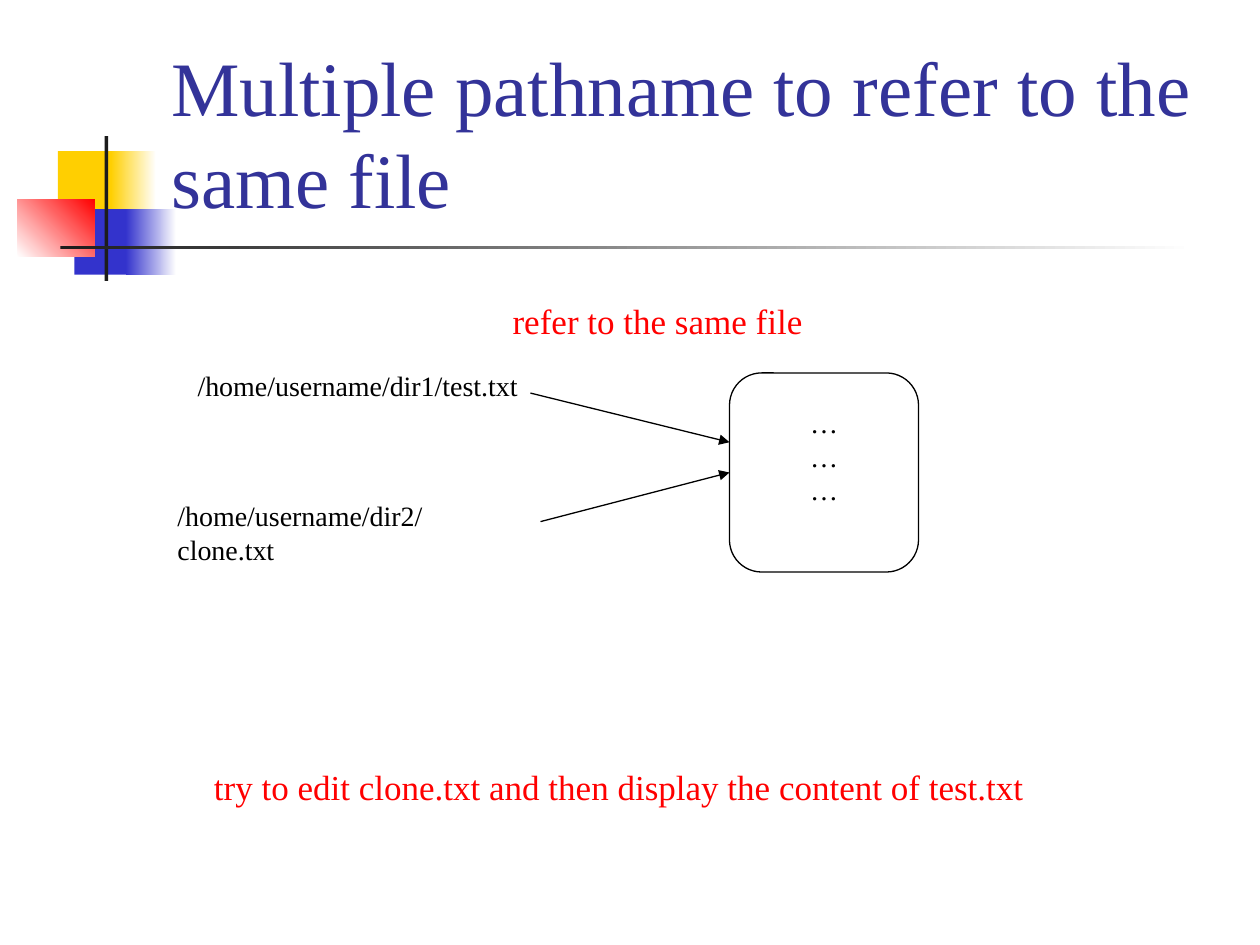
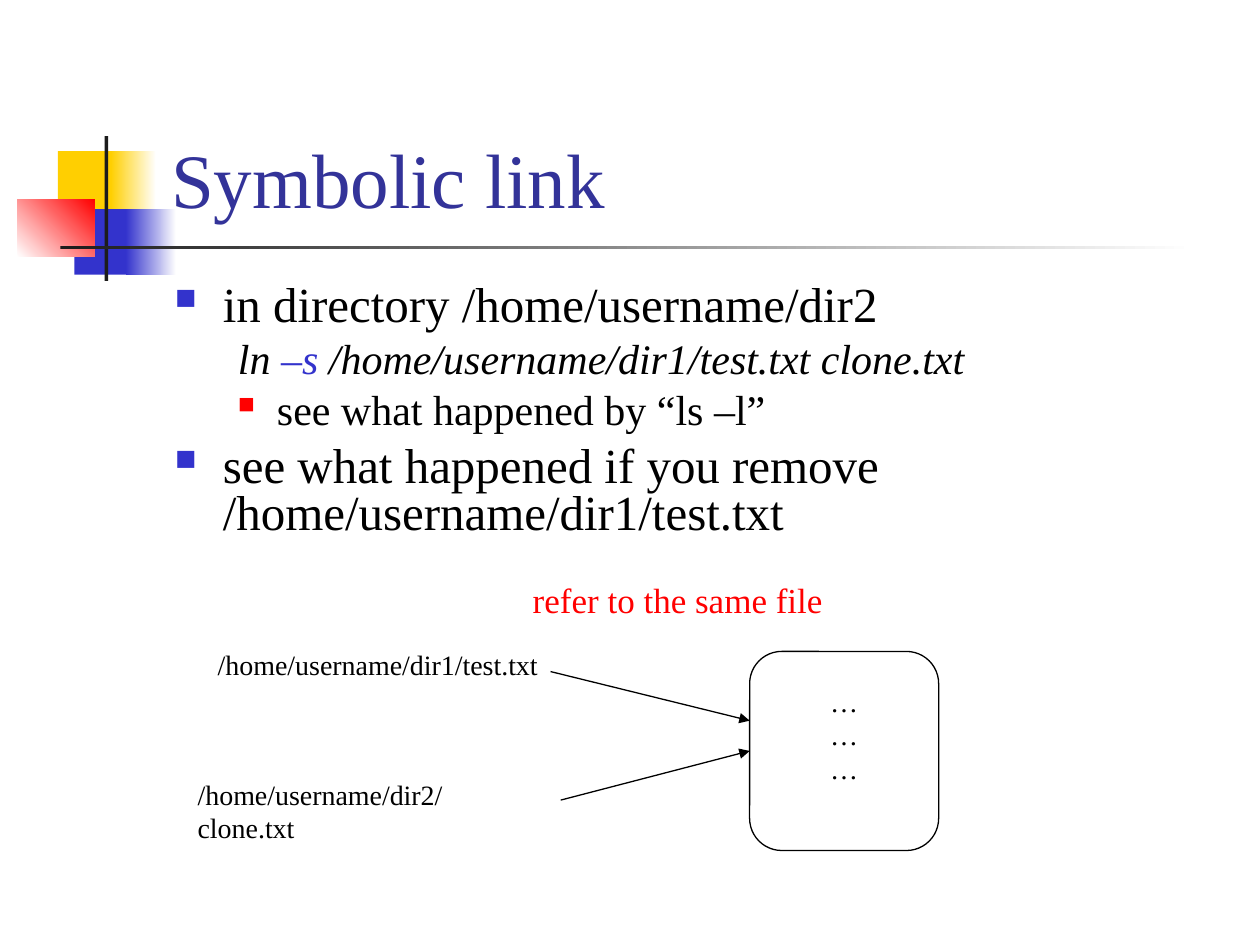
import lxml.etree
import pptx
import pptx.dml.color
import pptx.enum.shapes
import pptx.enum.text
import pptx.oxml.ns
import pptx.util

Inches, Pt = pptx.util.Inches, pptx.util.Pt
RGBColor = pptx.dml.color.RGBColor
Preset = pptx.enum.shapes.MSO_SHAPE
Anchor = pptx.enum.text.MSO_ANCHOR
Align = pptx.enum.text.PP_ALIGN

FONT = "Times New Roman"
BLACK = RGBColor(0x00, 0x00, 0x00)
WHITE = RGBColor(0xFF, 0xFF, 0xFF)
INK = RGBColor(0x1C, 0x1C, 0x1C)
NAVY = RGBColor(0x33, 0x33, 0x99)
BLUE = RGBColor(0x33, 0x33, 0xCC)
RED = RGBColor(0xFF, 0x00, 0x00)
GOLD = RGBColor(0xFF, 0xCF, 0x01)


def add_tag(parent, tag, **attrs):
    """Append a DrawingML element and return it."""
    node = lxml.etree.SubElement(parent, pptx.oxml.ns.qn(tag))
    for key, value in attrs.items():
        node.set(key, str(value))
    return node


class Deck:
    """The shared style and the slide being built."""

    def __init__(self):
        """Start an empty 10 by 7.5 inch deck."""
        self.prs = pptx.Presentation()
        self.prs.slide_width = Inches(10)
        self.prs.slide_height = Inches(7.5)
        self.slide = None

    def start(self, title):
        """Add a slide with the corner motif, rule and title."""
        self.slide = self.prs.slides.add_slide(self.prs.slide_layouts[6])
        self.block(0.46, 1.2, 0.48, 0.52, GOLD)
        self.block(0.88, 1.2, 0.36, 0.52, GOLD, WHITE)
        self.block(0.59, 1.66, 0.46, 0.52, BLUE)
        self.block(1, 1.66, 0.4, 0.52, BLUE, WHITE)
        self.block(0.14, 1.58, 0.61, 0.46, WHITE, RED, 45)
        self.block(0.83, 1.08, 0.03, 1.15, INK)
        self.block(0.48, 1.95, 9, 0.03, INK, WHITE)
        frame = self.frame(1.26, 0.23, 8.52, 1.6)
        frame.vertical_anchor = Anchor.BOTTOM
        self.run(frame.paragraphs[0], title, 44, NAVY)

    def block(self, x, y, w, h, color, end=None, angle=0):
        """Draw a borderless rectangle, fading to end if given."""
        shape = self.slide.shapes.add_shape(
            Preset.RECTANGLE, Inches(x), Inches(y), Inches(w), Inches(h))
        shape.shadow.inherit = False
        shape.line.fill.background()
        if end is None:
            shape.fill.solid()
            shape.fill.fore_color.rgb = color
            return
        shape.fill.gradient()
        shape.fill.gradient_angle = angle
        for stop, tone in zip(shape.fill.gradient_stops, (color, end)):
            stop.color.rgb = tone

    def frame(self, x, y, w, h, wrap=True, host=None):
        """Add a text box to host or the slide; return its frame."""
        shapes = (host or self.slide).shapes
        box = shapes.add_textbox(Inches(x), Inches(y), Inches(w), Inches(h))
        box.text_frame.word_wrap = wrap
        return box.text_frame

    def run(self, para, text, size, color=BLACK, italic=False):
        """Append one styled run to a paragraph."""
        run = para.add_run()
        run.text = text
        run.font.name = FONT
        run.font.size = Pt(size)
        run.font.color.rgb = color
        run.font.italic = italic

    def label(self, x, y, w, h, text, size, color=BLACK, host=None):
        """Write one unwrapped line of text."""
        frame = self.frame(x, y, w, h, False, host)
        self.run(frame.paragraphs[0], text, size, color)

    def list(self, x, y, w, h, items):
        """Write items of (level, bulleted, runs) as an outline."""
        frame = self.frame(x, y, w, h)
        for i, (level, dot, runs) in enumerate(items):
            para = frame.add_paragraph() if i else frame.paragraphs[0]
            para.level = level
            para.line_spacing = 0.8
            left, hang, gap, size, tone, scale = (
                (0.81, 0.31, 6, 24, RED, 55) if level
                else (0.38, 0.38, 7, 28, BLUE, 60))
            para.space_before = Pt(gap)
            props = para._p.get_or_add_pPr()
            props.set("marL", str(Inches(left)))
            props.set("indent", str(-Inches(hang)))
            if dot:
                paint = add_tag(props, "a:buClr")
                add_tag(paint, "a:srgbClr", val=tone)
                add_tag(props, "a:buSzPct", val=scale * 1000)
                add_tag(props, "a:buChar", char="■")
            else:
                add_tag(props, "a:buNone")
            for text, color, italic in runs:
                self.run(para, text, size, color, italic)

    def arrow(self, host, x1, y1, x2, y2):
        """Draw a thin arrow inside a group."""
        line = host.shapes.add_connector(
            pptx.enum.shapes.MSO_CONNECTOR.STRAIGHT,
            Inches(x1), Inches(y1), Inches(x2), Inches(y2))
        line.line.color.rgb = BLACK
        line.line.width = Pt(0.74)
        add_tag(line.line._get_or_add_ln(), "a:tailEnd", type="triangle")
        add_tag(line._element.spPr, "a:effectLst")

    def card(self, host, x, y, w, h):
        """Draw the rounded file with its three lines of content."""
        card = host.shapes.add_shape(
            Preset.ROUNDED_RECTANGLE,
            Inches(x), Inches(y), Inches(w), Inches(h))
        card.adjustments[0] = 0.17
        card.shadow.inherit = False
        card.fill.background()
        card.line.color.rgb = BLACK
        card.line.width = Pt(0.74)
        frame = card.text_frame
        frame.word_wrap = False
        frame.vertical_anchor = Anchor.MIDDLE
        frame.margin_bottom = Inches(0.31)
        for i in range(3):
            para = frame.add_paragraph() if i else frame.paragraphs[0]
            para.alignment = Align.CENTER
            self.run(para, "…", 16)

    def links(self, x, y):
        """Draw two pathnames pointing at one file, from corner x, y."""
        host = self.slide.shapes.add_group_shape()
        self.label(x + 0.16, y + 0.55, 2.74, 0.37,
                   "/home/username/dir1/test.txt", 16, host=host)
        self.label(x, y + 1.58, 2.91, 0.37,
                   "/home/username/dir2/clone.txt", 16, host=host)
        self.card(host, x + 4.48, y + 0.63, 1.5, 1.58)
        self.arrow(host, x + 2.9, y + 0.79, x + 4.48, y + 1.18)
        self.arrow(host, x + 2.98, y + 1.81, x + 4.48, y + 1.42)
        self.label(x + 2.66, y, 2.5, 0.44,
                   "refer to the same file", 20, RED, host)


deck = Deck()

deck.start("Multiple pathname to refer to the same file")
deck.links(1.31, 2.33)
deck.label(1.6, 6.03, 6.63, 0.44,
           "try to edit clone.txt and then display the content of test.txt",
           20, RED)

deck.start("Symbolic link")
deck.list(1.29, 2.21, 8.5, 2.17, [
    (0, True, [("in directory /home/username/dir2", BLACK, False)]),
    (1, False, [("ln ", BLACK, True), ("–s", BLUE, True),
                (" /home/username/dir1/test.txt clone.txt", BLACK, True)]),
    (1, True, [("see what happened by “ls –l”", BLACK, False)]),
    (0, True, [("see what happened if you remove "
                "/home/username/dir1/test.txt", BLACK, False)]),
])
deck.links(1.47, 4.54)

deck.prs.save("out.pptx")
